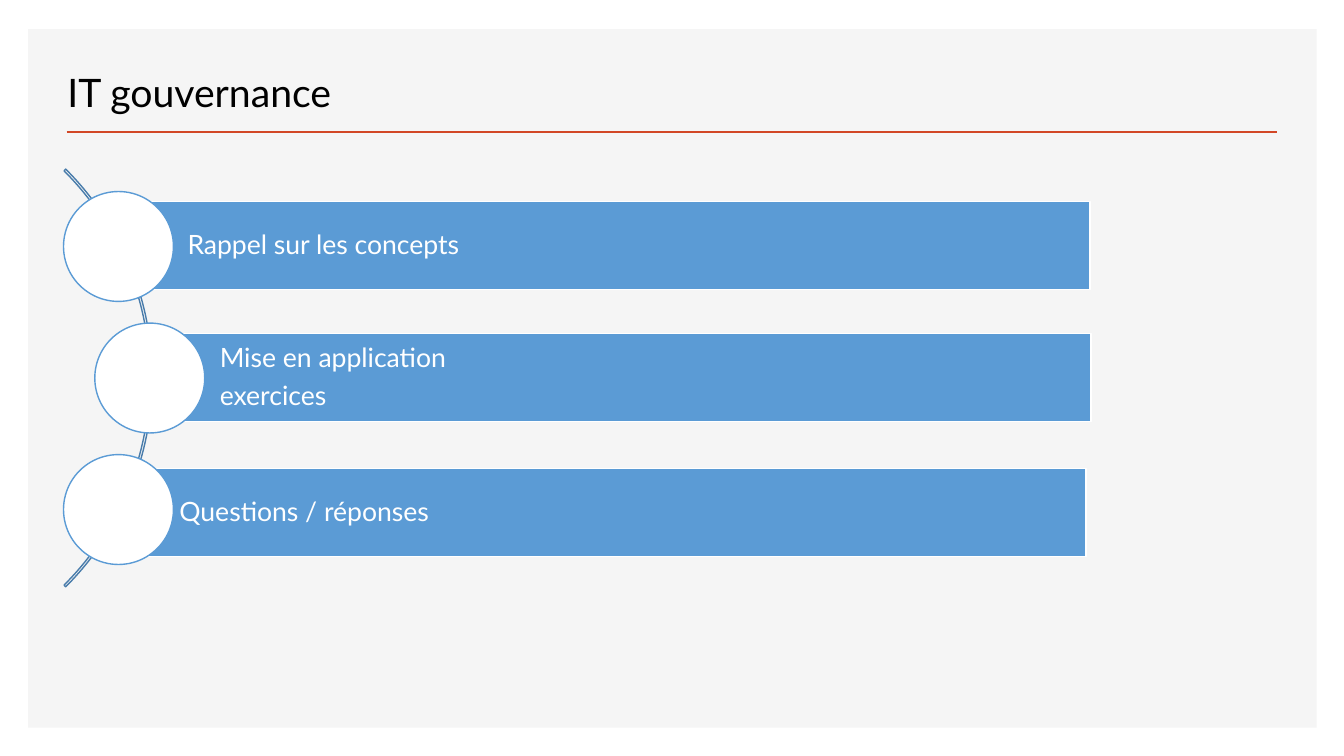
import pptx
import pptx.dml.color
import pptx.enum.shapes
import pptx.enum.text
import pptx.oxml
import pptx.util

Inches = pptx.util.Inches
Pt = pptx.util.Pt
SHAPE = pptx.enum.shapes.MSO_SHAPE
ANCHOR = pptx.enum.text.MSO_ANCHOR
ALIGN = pptx.enum.text.PP_ALIGN

COLORS = {
    "panel": "F5F5F5",
    "accent": "D24726",
    "title": "000000",
    "arc": "497CAB",
    "bar": "5B9BD5",
    "white": "FFFFFF",
}


class SlideBuilder:
    font = "Lato"

    def __init__(self, slide):
        self.s = slide

    def color(self, name):
        return pptx.dml.color.RGBColor.from_string(COLORS[name])

    def shape(self, kind, x, y, w, h, fill=None, line=None):
        sp = self.s.shapes.add_shape(kind, Inches(x), Inches(y), Inches(w), Inches(h))
        sp.shadow.inherit = False
        if fill:
            sp.fill.solid()
            sp.fill.fore_color.rgb = self.color(fill)
        else:
            sp.fill.background()
        if line:
            sp.line.color.rgb = self.color(line)
            sp.line.width = Pt(1)
        else:
            sp.line.fill.background()
        return sp

    def rule(self, x1, x2, y, color, width):
        c = self.s.shapes.add_connector(
            pptx.enum.shapes.MSO_CONNECTOR.STRAIGHT,
            Inches(x1), Inches(y), Inches(x2), Inches(y))
        c.line.color.rgb = self.color(color)
        c.line.width = Pt(width)
        pptx.oxml.xmlchemy.OxmlElement  # noqa
        c._element.spPr.append(pptx.oxml.xmlchemy.OxmlElement("a:effectLst"))

    def text(self, tf, text, size, color, anchor):
        tf.word_wrap = True
        tf.vertical_anchor = anchor
        tf.text = text
        for p in tf.paragraphs:
            p.alignment = ALIGN.LEFT
            for r in p.runs:
                r.font.name = self.font
                r.font.size = Pt(size)
                r.font.color.rgb = self.color(color)

    def title(self, text, x, y, w, h):
        sp = self.s.shapes.add_textbox(Inches(x), Inches(y), Inches(w), Inches(h))
        self.text(sp.text_frame, text, 28, "title", ANCHOR.BOTTOM)

    def bar(self, text, x, y, w, h, inset):
        sp = self.shape(SHAPE.RECTANGLE, x, y, w, h, "bar", "white")
        tf = sp.text_frame
        self.text(tf, text, 19, "white", ANCHOR.MIDDLE)
        tf.margin_left = Inches(inset)
        tf.margin_top = tf.margin_right = tf.margin_bottom = Inches(0.05)
        for p in tf.paragraphs:
            p.line_spacing = 0.9
            p.space_after = Pt(6.65)

    def arc(self, x, y, size, adjustments):
        sp = self.shape(SHAPE.BLOCK_ARC, x, y, size, size, line="arc")
        for i, value in enumerate(adjustments):
            sp.adjustments[i] = value


def main():
    prs = pptx.Presentation()
    prs.slide_width = Inches(13.33)
    prs.slide_height = Inches(7.5)
    b = SlideBuilder(prs.slides.add_slide(prs.slide_layouts[6]))

    # Background panel and heading
    b.shape(SHAPE.RECTANGLE, 0.28, 0.29, 12.78, 6.93, "panel")
    b.rule(0.66, 12.67, 1.31, "accent", 2)
    b.title("IT gouvernance", 0.57, 0.49, 7.52, 0.7)

    # Agenda: curved spine, then a bar and a circle per step
    b.arc(-4.35, 0.82, 5.86, (189, 27, 0.004))
    # text, bar left, bar top, bar width, text inset, circle left
    steps = [
        ("Rappel sur les concepts", 1.17, 2.0, 9.64, 0.69, 0.63),
        ("Mise en application\nexercices", 1.49, 3.31, 9.33, 0.69, 0.94),
        ("Questions / réponses", 1.03, 4.65, 9.74, 0.75, 0.63),
    ]
    for i, (text, x, y, w, inset, circle_x) in enumerate(steps):
        b.bar(text, x, y, w, 0.87, inset)
        b.shape(SHAPE.OVAL, circle_x, 1.9 + 1.305 * i, 1.09, 1.09, "white", "bar")

    prs.save("out.pptx")


if __name__ == "__main__":
    main()
